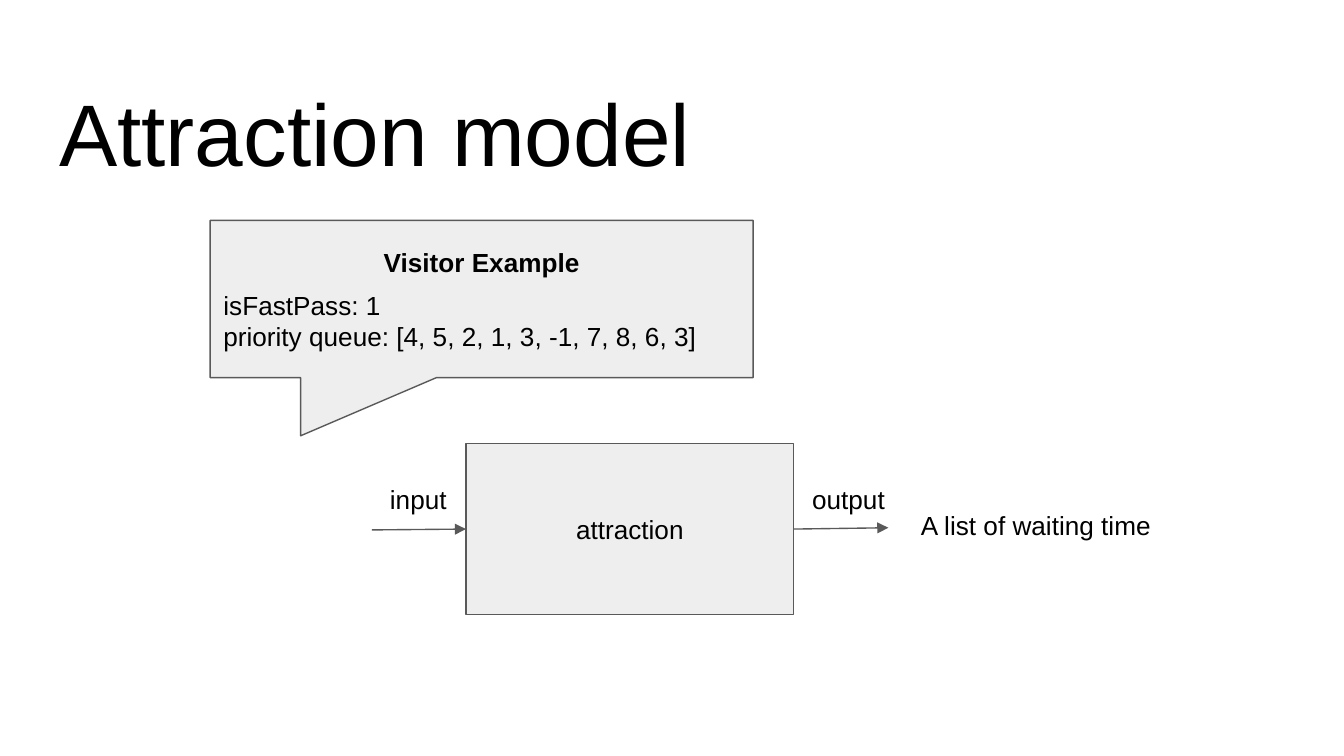
from typing import NamedTuple

from lxml.etree import SubElement
from pptx import Presentation
from pptx.dml.color import RGBColor
from pptx.enum.shapes import MSO_CONNECTOR as Connector, MSO_SHAPE as Preset
from pptx.enum.text import MSO_ANCHOR as Anchor, MSO_AUTO_SIZE as AutoSize, PP_ALIGN as Align
from pptx.oxml.ns import qn
from pptx.util import Emu, Inches, Pt

COLORS = {"ink": "000000", "panel": "EEEEEE", "outline": "595959"}
FONT = "Arial"
BODY_SIZE = 14
COLUMNS, ROWS = 100, 56.25
WIDTH = Inches(10)
HEIGHT = Emu(WIDTH * 9 // 16)


class Area(NamedTuple):
    column: float
    row: float
    columns: float
    rows: float


class Line(NamedTuple):
    text: str
    align: Align = Align.LEFT
    bold: bool = False
    space_before: float = 0


class Label(NamedTuple):
    text: str
    area: Area


def across(columns: float) -> Emu:
    return Emu(round(WIDTH * columns / COLUMNS))


def down(rows: float) -> Emu:
    return Emu(round(HEIGHT * rows / ROWS))


def place(area: Area) -> tuple[Emu, Emu, Emu, Emu]:
    return across(area.column), down(area.row), across(area.columns), down(area.rows)


def color(name: str) -> RGBColor:
    return RGBColor.from_string(COLORS[name])


def write(frame, lines: list[Line], size: float = BODY_SIZE, anchor: Anchor = Anchor.TOP) -> None:
    frame.word_wrap = True
    frame.vertical_anchor = anchor
    frame.margin_left = frame.margin_right = across(1)
    frame.margin_top = frame.margin_bottom = down(1)
    for index, line in enumerate(lines):
        paragraph = frame.add_paragraph() if index else frame.paragraphs[0]
        paragraph.alignment = line.align
        if line.space_before:
            paragraph.space_before = Pt(line.space_before)
        run = paragraph.add_run()
        run.text = line.text
        run.font.name = FONT
        run.font.size = Pt(size)
        run.font.bold = line.bold
        run.font.color.rgb = color("ink")


def add_panel(slide, preset: Preset, area: Area, lines: list[Line]):
    panel = slide.shapes.add_shape(preset, *place(area))
    panel.shadow.inherit = False
    panel.fill.solid()
    panel.fill.fore_color.rgb = color("panel")
    panel.line.color.rgb = color("outline")
    panel.line.width = Pt(0.75)
    write(panel.text_frame, lines, anchor=Anchor.MIDDLE)
    return panel


def add_arrow(slide, start: tuple[float, float], end: tuple[float, float]):
    arrow = slide.shapes.add_connector(
        Connector.STRAIGHT, across(start[0]), down(start[1]), across(end[0]), down(end[1]))
    arrow.line.color.rgb = color("outline")
    arrow.line.width = Pt(0.75)
    SubElement(arrow.line._get_or_add_ln(), qn("a:tailEnd"), type="triangle")
    SubElement(arrow._element.spPr, qn("a:effectLst"))
    return arrow


def add_label(slide, label: Label) -> None:
    frame = slide.shapes.add_textbox(*place(label.area)).text_frame
    write(frame, [Line(label.text)])
    frame.auto_size = AutoSize.SHAPE_TO_FIT_TEXT


def main() -> None:
    deck = Presentation()
    deck.slide_width, deck.slide_height = WIDTH, HEIGHT
    slide = deck.slides.add_slide(deck.slide_layouts[5])

    title = slide.shapes.title
    title.left, title.top, title.width, title.height = place(Area(3.41, 4.87, 93.2, 6.3))
    write(title.text_frame, [Line("Attraction model")], size=46.8)
    title.text_frame.auto_size = AutoSize.NONE

    attraction = add_panel(slide, Preset.RECTANGLE, Area(34.67, 33.02, 24.4, 12.7),
                           [Line("attraction", Align.CENTER)])
    output_arrow = add_arrow(slide, (59.07, 39.37), (66.1, 39.27))
    output_arrow.begin_connect(attraction, 3)
    input_arrow = add_arrow(slide, (27.67, 39.43), (34.67, 39.37))
    input_arrow.end_connect(attraction, 1)

    visitor = add_panel(slide, Preset.ROUNDED_RECTANGULAR_CALLOUT, Area(15.64, 16.4, 40.4, 11.7), [
        Line("Visitor Example", Align.CENTER, bold=True),
        Line("isFastPass: 1", space_before=6),
        Line("priority queue: [4, 5, 2, 1, 3, -1, 7, 8, 6, 3]"),
    ])
    for index, adjustment in enumerate((-1 / 3, 0.87, 0)):
        visitor.adjustments[index] = adjustment

    for label in (
        Label("input", Area(28.03, 35, 6.3, 4.4)),
        Label("output", Area(59.44, 35, 9.4, 4.4)),
        Label("A list of waiting time", Area(67.54, 36.93, 26.1, 4.4)),
    ):
        add_label(slide, label)

    deck.save("out.pptx")


if __name__ == "__main__":
    main()
